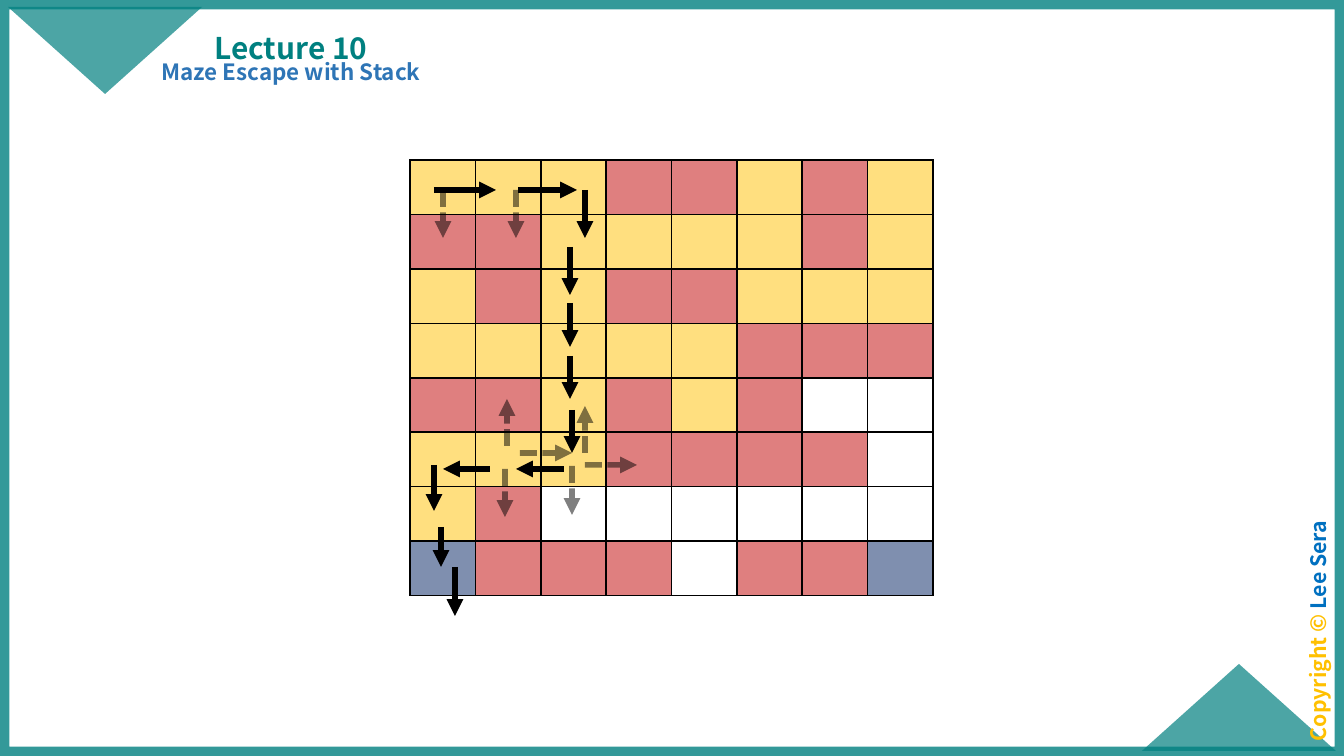
from dataclasses import dataclass

from lxml.etree import SubElement
from pptx import Presentation
from pptx.dml.color import RGBColor
from pptx.enum.dml import MSO_LINE
from pptx.enum.shapes import MSO_CONNECTOR, MSO_SHAPE
from pptx.enum.text import MSO_ANCHOR, MSO_AUTO_SIZE, PP_ALIGN
from pptx.oxml import parse_xml
from pptx.oxml.ns import nsdecls, qn
from pptx.util import Emu, Pt


@dataclass(frozen=True)
class Theme:
    font: str = "Noto Sans CJK KR"
    teal: str = "008080"
    blue: str = "2E75B6"
    name: str = "0070C0"
    gold: str = "FFC000"
    wall: str = "C00000"
    gate: str = "002060"
    white: str = "FFFFFF"
    black: str = "000000"
    title: float = 16
    subtitle: float = 12
    credit: float = 11.4


THEME = Theme()
PX = 914400 / 134.4
WIDTH, HEIGHT = 1344, 756

# v visited, w wall, g gate, o open
MAZE = [
    "vvvwwvwv",
    "wwvvvvwv",
    "vwvwwvvv",
    "vvvvvwww",
    "wwvwvwoo",
    "vvvwwwwo",
    "vwoooooo",
    "gwwwowwg",
]
CELL_COLORS = {"v": THEME.gold, "w": THEME.wall, "g": THEME.gate, "o": THEME.white}

# Each arrow: x and y of its start, x and y of its end
DEAD_ENDS = [
    (443, 190, 443, 238), (516, 190, 516, 238), (572, 466, 572, 515),
    (585, 465, 637, 465), (585, 453, 585, 406), (505, 469, 505, 517),
    (520, 453, 572, 453), (507, 446, 507, 399),
]
ROUTE = [
    (434, 190, 496, 190), (518, 190, 577, 190), (585, 190, 585, 238),
    (570, 247, 570, 295), (570, 303, 570, 347), (570, 356, 570, 399),
    (572, 410, 572, 453), (564, 469, 516, 469), (490, 469, 443, 469),
    (434, 465, 434, 511), (441, 527, 441, 567), (455, 567, 455, 616),
]


def px(n):
    return Emu(round(n * PX))


def rgb(color):
    return RGBColor.from_string(color)


def set_opacity(element, percent):
    for color in element.iter(qn("a:srgbClr")):
        SubElement(color, qn("a:alpha"), val=str(percent * 1000))


def add_frame(s):
    sp = s.shapes.add_shape(MSO_SHAPE.RECTANGLE, 0, 0, px(WIDTH), px(HEIGHT))
    sp.shadow.inherit = False
    sp.fill.background()
    sp.line.color.rgb = rgb(THEME.teal)
    sp.line.width = Pt(10)
    set_opacity(sp.line._get_or_add_ln(), 80)


def add_corner(s, x, y, rotation):
    sp = s.shapes.add_shape(MSO_SHAPE.ISOSCELES_TRIANGLE, px(x), px(y), px(194), px(87))
    sp.rotation = rotation
    sp.shadow.inherit = False
    sp.line.fill.background()
    sp.fill.solid()
    sp.fill.fore_color.rgb = rgb(THEME.teal)
    set_opacity(sp._element.spPr, 70)


def write_line(sp, box, runs, size, spacing, before=0, anchor=MSO_ANCHOR.TOP):
    """Place sp at box and fill it with one centred line of (text, color) runs."""
    sp.left, sp.top, sp.width, sp.height = map(px, box)
    tf = sp.text_frame
    tf.word_wrap = True
    tf.auto_size = MSO_AUTO_SIZE.NONE
    tf.vertical_anchor = anchor
    tf.margin_left = tf.margin_right = px(10)
    tf.margin_top = tf.margin_bottom = px(5)
    p = tf.paragraphs[0]
    p.alignment = PP_ALIGN.CENTER
    p.line_spacing = spacing
    p.space_before = Pt(before)
    p.font.name = THEME.font
    p.font.size = Pt(size)
    p.font.bold = True
    for text, color in runs:
        r = p.add_run()
        r.text = text
        r.font.color.rgb = rgb(color)


def add_text(s):
    return s.shapes.add_textbox(0, 0, 0, 0)


def format_cell(cell, color):
    cell.margin_top = cell.margin_bottom = 0
    cell.fill.solid()
    cell.fill.fore_color.rgb = rgb(color)
    tcPr = cell._tc.get_or_add_tcPr()
    set_opacity(tcPr, 50)
    for i, side in enumerate("LRTB"):
        tcPr.insert(i, parse_xml(
            f'<a:ln{side} {nsdecls("a")} w="12700"><a:solidFill>'
            f'<a:srgbClr val="{THEME.black}"/></a:solidFill></a:ln{side}>'))


def add_maze(s, x, y, w, h):
    rows, cols = len(MAZE), len(MAZE[0])
    table = s.shapes.add_table(rows, cols, px(x), px(y), px(w), px(h)).table
    table.first_row = table.horz_banding = False
    for column in table.columns:
        column.width = px(w / cols)
    for row, kinds in zip(table.rows, MAZE):
        row.height = px(h / rows)
        for cell, kind in zip(row.cells, kinds):
            format_cell(cell, CELL_COLORS[kind])


def add_arrow(s, ends, dead_end=False):
    line = s.shapes.add_connector(MSO_CONNECTOR.STRAIGHT, *map(px, ends))
    line.line.color.rgb = rgb(THEME.black)
    line.line.width = Pt(3)
    ln = line.line._get_or_add_ln()
    if dead_end:
        line.line.dash_style = MSO_LINE.SQUARE_DOT
        set_opacity(ln, 50)
    SubElement(ln, qn("a:tailEnd"), type="triangle")
    SubElement(line._element.spPr, qn("a:effectLst"))


def main():
    prs = Presentation()
    prs.slide_width, prs.slide_height = px(WIDTH), px(HEIGHT)
    s = prs.slides.add_slide(prs.slide_layouts[5])

    add_frame(s)
    add_corner(s, 1142, 664, 0)
    add_corner(s, 8, 7, 180)

    credit = add_text(s)
    write_line(credit, (1199, 614, 250, 34),
               [("Copyright © ", THEME.gold), ("Lee Sera", THEME.name)],
               THEME.credit, 0.7, before=10)
    credit.rotation = 270
    write_line(s.shapes.title, (188, 8, 206, 63), [("Lecture 10", THEME.teal)],
               THEME.title, 0.9, anchor=MSO_ANCHOR.BOTTOM)
    write_line(add_text(s), (148, 56, 286, 46), [("Maze Escape with Stack", THEME.blue)],
               THEME.subtitle, 0.9, before=7.5)

    add_maze(s, 410, 160, 523, 436)
    for ends in DEAD_ENDS:
        add_arrow(s, ends, dead_end=True)
    for ends in ROUTE:
        add_arrow(s, ends)

    prs.save("out.pptx")


if __name__ == "__main__":
    main()
